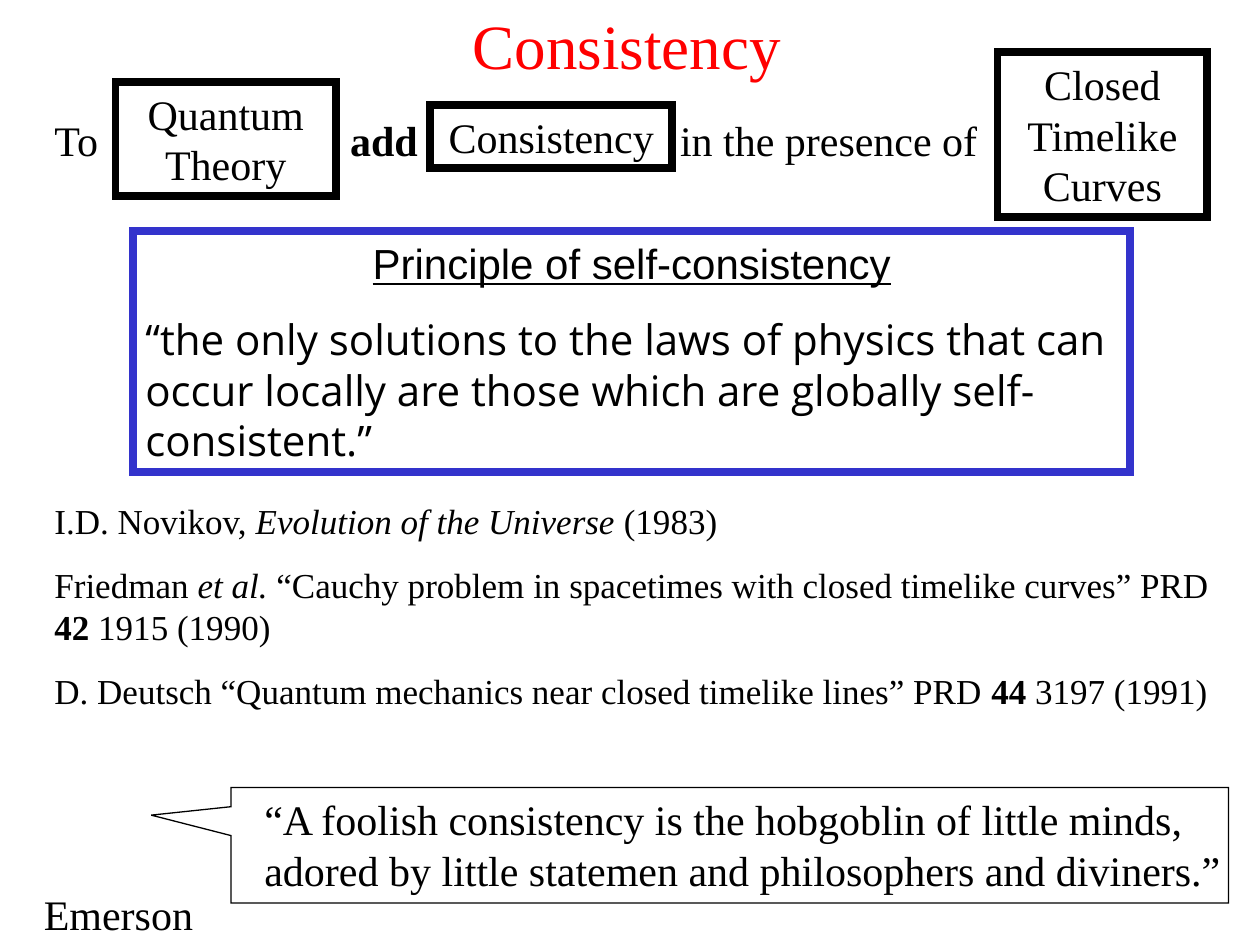
from dataclasses import dataclass

from lxml.etree import SubElement
from pptx import Presentation
from pptx.dml.color import RGBColor
from pptx.enum.shapes import MSO_SHAPE as Preset
from pptx.enum.text import MSO_ANCHOR as Anchor, MSO_AUTO_SIZE as AutoSize, PP_ALIGN as Align
from pptx.oxml.ns import qn
from pptx.util import Pt


@dataclass(frozen=True)
class Theme:
    serif: str = "Times New Roman"
    sans: str = "Arial"
    quote: str = "Open Sans"
    title_size: int = 36
    body_size: int = 24
    reference_size: int = 20
    heavy_line: float = 4.5
    thin_line: float = 0.75
    line_height: float = 1.2
    paragraph_gap: float = 0.625
    black: RGBColor = RGBColor(0, 0, 0)
    white: RGBColor = RGBColor(255, 255, 255)
    red: RGBColor = RGBColor(255, 0, 0)
    blue: RGBColor = RGBColor(0x33, 0x33, 0xCC)


THEME = Theme()


def place(shape, box):
    shape.left, shape.top, shape.width, shape.height = map(Pt, box)


def within(box, left, top, width, height):
    return box[0] + left, box[1] + top, width, height


def prepare_frame(frame, wrap=True):
    frame.word_wrap = wrap
    frame.auto_size = AutoSize.NONE
    frame.vertical_anchor = Anchor.TOP


def style_paragraph(paragraph, size=THEME.body_size, name=THEME.serif,
                    color=THEME.black, align=Align.LEFT):
    paragraph.alignment = align
    paragraph.line_spacing = Pt(size * THEME.line_height)
    paragraph.font.size = Pt(size)
    paragraph.font.name = name
    paragraph.font.color.rgb = color


def add_runs(paragraph, runs):
    for text, style in runs:
        run = paragraph.add_run()
        run.text = text
        if style:
            setattr(run.font, style, True)


def add_text(slide, box, paragraphs, size=THEME.body_size):
    frame = slide.shapes.add_textbox(*map(Pt, box)).text_frame
    prepare_frame(frame)
    for index, runs in enumerate(paragraphs):
        paragraph = frame.add_paragraph() if index else frame.paragraphs[0]
        if index:
            paragraph.space_before = Pt(size * THEME.paragraph_gap)
        add_runs(paragraph, runs)
        style_paragraph(paragraph, size)
    return frame


def add_outline(slide, box, preset=Preset.RECTANGLE, color=THEME.black,
                weight=THEME.heavy_line):
    shape = slide.shapes.add_shape(preset, *map(Pt, box))
    shape.shadow.inherit = False
    shape.fill.background()
    shape.line.color.rgb = color
    shape.line.width = Pt(weight)
    SubElement(shape.line._get_or_add_ln(), qn("a:miter"), lim="800000")
    prepare_frame(shape.text_frame)
    return shape


def add_title(slide, box):
    title = slide.shapes.title
    place(title, box)
    title.text_frame.text = "Consistency"
    prepare_frame(title.text_frame, wrap=False)
    style_paragraph(title.text_frame.paragraphs[0], THEME.title_size, color=THEME.red)


def add_statement(slide, box):
    runs = [("To\t", None), ("add", "bold"), ("\tin the presence of", None)]
    sentence = add_text(slide, within(box, 0, 32, 642, 65), [runs]).paragraphs[0]
    tabs = SubElement(sentence._p.get_or_add_pPr(), qn("a:tabLst"))
    for stop in (169, 357.5):
        SubElement(tabs, qn("a:tab"), pos=str(Pt(stop)), algn="l")
    sentence._p.pPr.insert_element_before(tabs, "a:defRPr")

    terms = [
        ("Quantum Theory", (42, 17, 126, 65)),
        ("Consistency", (222, 30, 138, 36)),
        ("Closed Timelike Curves", (546, 0, 120, 94)),
    ]
    for text, area in terms:
        frame = add_outline(slide, within(box, *area)).text_frame
        frame.text = text
        style_paragraph(frame.paragraphs[0], align=Align.CENTER)


def add_principle(slide, box):
    frame = add_outline(slide, box, color=THEME.blue).text_frame
    heading = frame.paragraphs[0]
    heading.text = "Principle of self-consistency"
    style_paragraph(heading, name=THEME.sans, align=Align.CENTER)
    heading.font.underline = True
    heading.runs[0].font.underline = True
    quotation = frame.add_paragraph()
    quotation.text = ("“the only solutions to the laws of physics that can occur "
                      "locally are those which are globally self-consistent.”")
    quotation.space_before = Pt(THEME.body_size * THEME.paragraph_gap)
    style_paragraph(quotation, name=THEME.quote)


def add_references(slide, box):
    references = [
        [("I.D. Novikov, ", None), ("Evolution of the Universe", "italic"),
         (" (1983)", None)],
        [("Friedman ", None), ("et al.", "italic"),
         (" “Cauchy problem in spacetimes with closed timelike curves” PRD ", None),
         ("42", "bold"), (" 1915 (1990)", None)],
        [("D. Deutsch “Quantum mechanics near closed timelike lines” PRD ", None),
         ("44", "bold"), (" 3197 (1991)", None)],
    ]
    add_text(slide, box, references, THEME.reference_size)


def add_quotation(slide, box):
    callout = add_outline(slide, within(box, 114, 0, 570, 66),
                          Preset.RECTANGULAR_CALLOUT, weight=THEME.thin_line)
    callout.fill.solid()
    callout.fill.fore_color.rgb = THEME.white
    callout.adjustments[0] = -0.58
    callout.adjustments[1] = -0.26
    words = ("“A foolish consistency is the hobgoblin of little minds, "
             "adored by little statemen and philosophers and diviners.”")
    add_text(slide, within(box, 126, 0, 576, 65), [[(words, None)]])
    add_text(slide, within(box, 0, 54, 108, 36), [[("Emerson", None)]])


def main():
    presentation = Presentation()
    presentation.slide_width, presentation.slide_height = Pt(720), Pt(540)
    slide = presentation.slides.add_slide(presentation.slide_layouts[5])
    add_title(slide, (263, 0, 199, 50))
    add_statement(slide, (24, 30, 666, 97))
    add_principle(slide, (76, 132, 570, 137.5))
    add_references(slide, (24, 282, 684, 128))
    add_quotation(slide, (18, 450, 702, 90))
    presentation.save("out.pptx")


if __name__ == "__main__":
    main()
